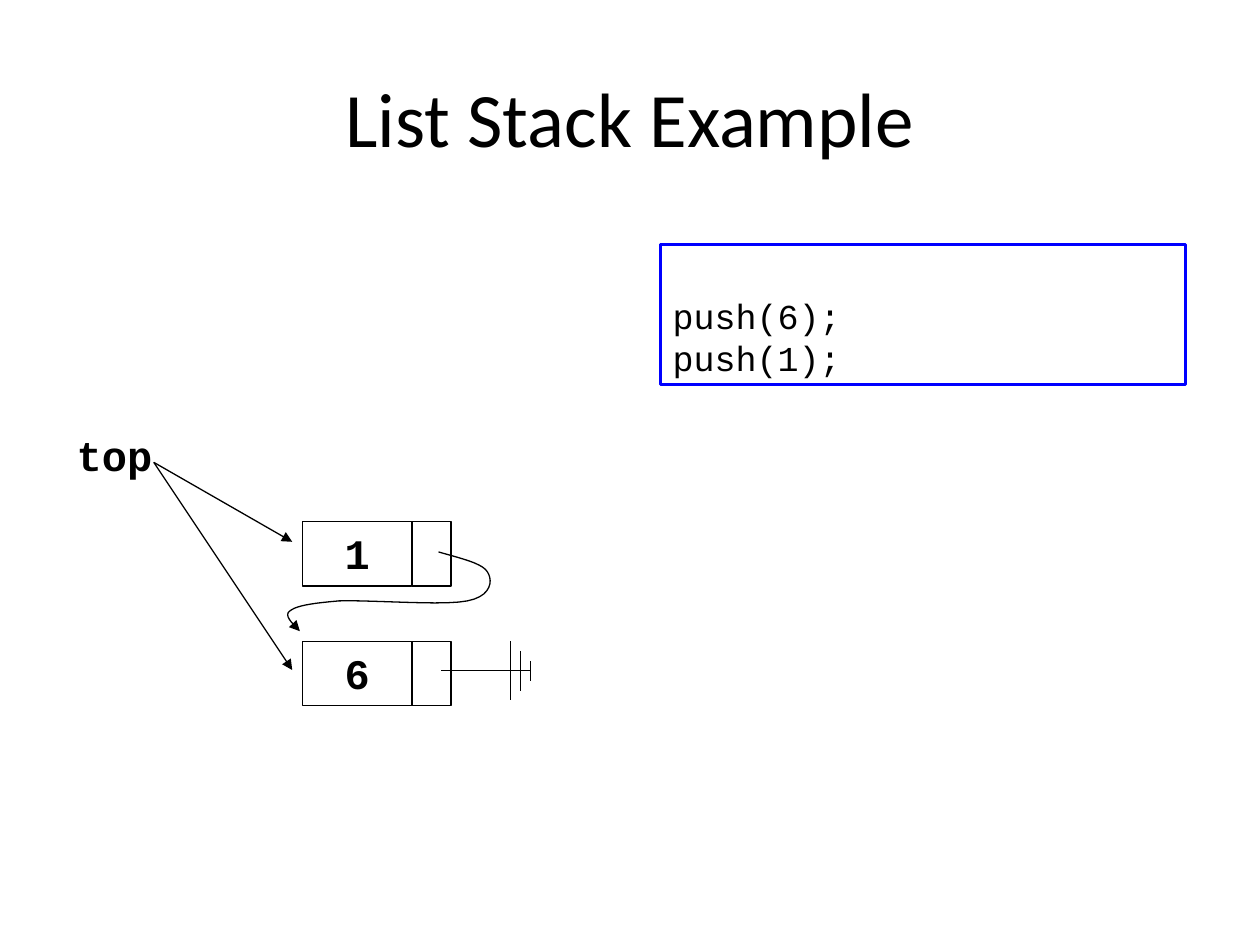
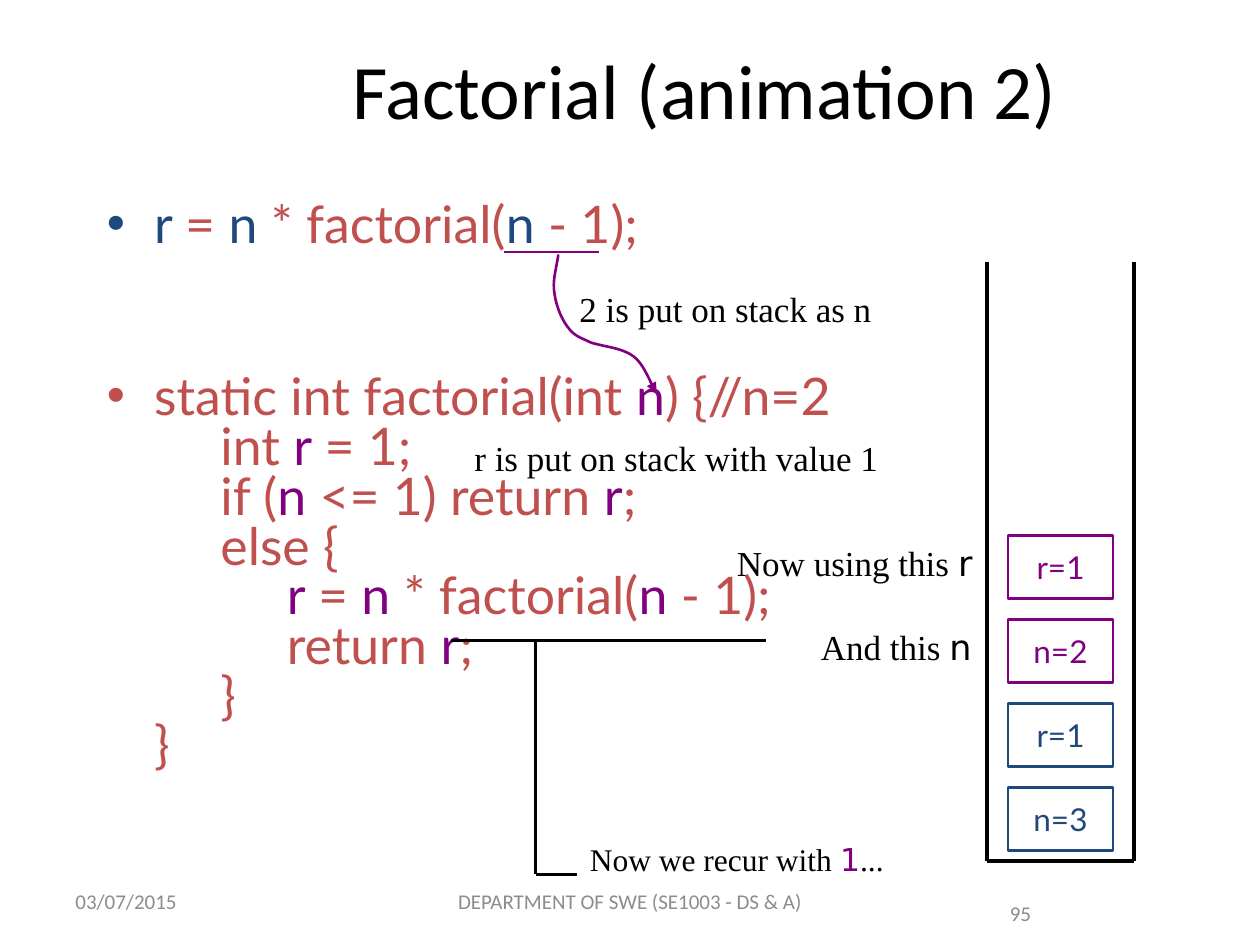
from dataclasses import dataclass
from itertools import pairwise

from lxml.etree import SubElement
from pptx import Presentation
from pptx.dml.color import RGBColor
from pptx.enum.shapes import MSO_CONNECTOR, MSO_SHAPE
from pptx.enum.text import MSO_ANCHOR, PP_ALIGN
from pptx.oxml.ns import qn
from pptx.util import Pt


@dataclass(frozen=True)
class Theme:
    black: str = "000000"
    white: str = "FFFFFF"
    grey: str = "8C8C8C"
    frame_blue: str = "0000FF"
    navy: str = "1F497D"
    red: str = "C0504D"
    purple: str = "800080"
    heading: str = "Calibri"
    mono: str = "Courier New"
    code: str = "Lato"
    serif: str = "Times New Roman"
    symbol: str = "DejaVu Sans"
    title_size: float = 44
    body_size: float = 29.6
    node_size: float = 24
    note_size: float = 20
    small_size: float = 18
    footer_size: float = 12
    leading: float = 1.2
    thin: float = 0.75
    medium: float = 1.5
    thick: float = 2.25


THEME = Theme()
MARK = "`"  # encloses the words that take the mark format


def rgb(colour):
    return RGBColor.from_string(colour)


# ---- Text ----
def write(shape, *paragraphs, font=THEME.heading, size=THEME.note_size,
          colour=THEME.black, bold=False, mark_font=None, mark_colours=None,
          align=PP_ALIGN.LEFT, anchor=MSO_ANCHOR.TOP, spacing=None,
          gap=0, hanging=0):
    """Write paragraphs; \\v breaks a line, MARK encloses marked words."""
    frame = shape.text_frame
    frame.word_wrap = True
    frame.vertical_anchor = anchor
    for index, content in enumerate(paragraphs):
        mark_colour = mark_colours[index] if mark_colours else colour
        para = frame.paragraphs[0] if index == 0 else frame.add_paragraph()
        if hanging:
            props = para._p.get_or_add_pPr()
            props.set("marL", str(Pt(hanging)))
            props.set("indent", str(-Pt(hanging)))
            SubElement(props, qn("a:buFont"), typeface="Arial")
            SubElement(props, qn("a:buChar"), char="•")
        para.alignment = align
        if spacing:
            para.line_spacing = spacing
        if index:
            para.space_before = Pt(gap)
        for part, words in enumerate(content.split(MARK)):
            marked = part % 2 == 1
            for row, line in enumerate(words.split("\v")):
                if row:
                    para.add_line_break()
                if not line:
                    continue
                run = para.add_run()
                run.text = line
                run.font.name = mark_font if marked and mark_font else font
                run.font.size = Pt(size)
                run.font.bold = bold
                run.font.color.rgb = rgb(mark_colour if marked else colour)
    return shape


def text(slide, box, *paragraphs, **style):
    area = slide.shapes.add_textbox(*map(Pt, box))
    return write(area, *paragraphs, **style)


def fixed(size):
    return Pt(size * THEME.leading)


def note(slide, box, words, size=THEME.note_size, mark_colour=THEME.black):
    text(slide, box, words, font=THEME.serif, size=size,
         mark_font=THEME.symbol, mark_colours=[mark_colour],
         spacing=fixed(size))


# ---- Shapes and lines ----
def panel(slide, box, kind=MSO_SHAPE.RECTANGLE, fill=None,
          line=THEME.black, width=THEME.thin):
    shape = slide.shapes.add_shape(kind, *map(Pt, box))
    shape.shadow.inherit = False
    if fill:
        shape.fill.solid()
        shape.fill.fore_color.rgb = rgb(fill)
    else:
        shape.fill.background()
    shape.line.color.rgb = rgb(line)
    shape.line.width = Pt(width)
    return shape


def add_arrowhead(shape):
    outline = shape.element.spPr.find(qn("a:ln"))
    SubElement(outline, qn("a:tailEnd"), type="triangle")


def line(slide, start, end, colour=THEME.black, width=THEME.thin, arrow=False):
    connector = slide.shapes.add_connector(
        MSO_CONNECTOR.STRAIGHT, *map(Pt, (*start, *end)))
    connector.line.color.rgb = rgb(colour)
    connector.line.width = Pt(width)
    if arrow:
        add_arrowhead(connector)
    SubElement(connector.element.spPr, qn("a:effectLst"))


def curved_arrow(slide, origin, knots, colour=THEME.black, width=THEME.thin):
    """Trace cubic curves: a start knot, then three knots per curve."""
    left, top = origin
    steps = 10
    points = [knots[0]]
    for first in range(0, len(knots) - 1, 3):
        curve = knots[first:first + 4]
        for step in range(1, steps + 1):
            t = step / steps
            weights = ((1 - t) ** 3, 3 * t * (1 - t) ** 2,
                       3 * t * t * (1 - t), t ** 3)
            points.append(tuple(sum(w * knot[axis] for w, knot in zip(weights, curve))
                                for axis in (0, 1)))
    points = [(Pt(left + x), Pt(top + y)) for x, y in points]
    builder = slide.shapes.build_freeform(*points[0], scale=1.0)
    builder.add_line_segments(points[1:], close=False)
    shape = builder.convert_to_shape()
    shape.shadow.inherit = False
    shape.fill.background()
    shape.line.color.rgb = rgb(colour)
    shape.line.width = Pt(width)
    add_arrowhead(shape)


# ---- Shared regions ----
def title(slide, box, words):
    text(slide, box, words, size=THEME.title_size,
         align=PP_ALIGN.CENTER, anchor=MSO_ANCHOR.MIDDLE)


def footer(slide, box, date, department, number):
    left, top, width, height = box
    parts = (
        ((left, top, 168, height), date, PP_ALIGN.LEFT),
        ((left + 210, top, 228, height), department, PP_ALIGN.CENTER),
        ((left + width - 150, top + 3.6, 150, 36), number, PP_ALIGN.LEFT),
    )
    for area, words, align in parts:
        text(slide, area, words, size=THEME.footer_size, colour=THEME.grey,
             align=align, anchor=MSO_ANCHOR.MIDDLE)


# ---- List stack slide ----
def list_node(slide, box, value):
    left, top, width, height = box
    link_width = 22.4
    data_width = width - link_width
    data = panel(slide, (left, top, data_width, height))
    write(data, value, font=THEME.mono, size=THEME.node_size, bold=True,
          align=PP_ALIGN.CENTER, spacing=fixed(THEME.node_size))
    panel(slide, (left + data_width, top, link_width, height))


def ground(slide, box):
    """Draw the null link: a lead and three shrinking bars."""
    left, top, width, height = box
    right, middle = left + width, top + height / 2
    line(slide, (left, middle), (right, middle))
    for index, half in enumerate((17, 11.3, 5.6)):
        x = right - 5.7 * (2 - index)
        line(slide, (x, middle - half), (x, middle + half))


def linked_list(slide, box):
    left, top, width, height = box
    text(slide, (left, top, 60, 36), "top", font=THEME.mono,
         size=THEME.node_size, bold=True, spacing=fixed(THEME.node_size))
    node_left, node_height, pitch = left + 136.1, 36.8, 68.3
    node_top = top + 56.2
    for index, value in enumerate(("1", "6")):
        y = node_top + index * pitch
        list_node(slide, (node_left, y, 85, node_height), value)
        line(slide, (left + 51.2, top + 22.3),
             (node_left - 5.8, y + 11.5 + index * 5), arrow=True)
    curved_arrow(slide, (node_left, node_top), (
        (77.8, 17.3), (90, 20.9), (103, 23.7), (105.8, 28.8),
        (108.7, 33.1), (108.7, 42.5), (94.3, 45.3),
        (80.6, 48.2), (38.2, 44.6), (20.9, 45.3),
        (3.6, 46.8), (-3.6, 48.2), (-7.2, 51.1),
        (-11.5, 54), (-2.9, 60.5), (-1.4, 62.6)))
    ground(slide, (left + width - 51, top + height - 34, 51, 34))


def call_panel(slide, box, *calls):
    frame = panel(slide, box, fill=THEME.white, line=THEME.frame_blue,
                  width=THEME.medium)
    write(frame, *calls, font=THEME.mono, anchor=MSO_ANCHOR.BOTTOM,
          spacing=fixed(THEME.note_size))


def list_stack_slide(slide):
    title(slide, (36, 21.6, 648, 90), "List Stack Example")
    linked_list(slide, (36.7, 241.9, 266.4, 158.4))
    call_panel(slide, (377.3, 139.7, 300.2, 79.9), "push(6);", "push(1);")


# ---- Factorial slide ----
CALL = "`r `= `n `* factorial(`n `- 1);"
FUNCTION = "\v".join((
    "static int factorial(int `n`) {//n=2",
    "     int `r `= 1;",
    "     if (`n `<= 1) return `r`;",
    "     else {",
    "          `r `= `n `* factorial(`n `- 1);",
    "          return `r`;",
    "     }",
    "}",
))


def call_stack(slide, box, cells):
    """Draw an open-topped stack with its cells listed from the bottom up."""
    left, top, width, height = box
    right, bottom = left + width, top + height
    corners = (left, top), (left, bottom), (right, bottom), (right, top)
    for start, end in pairwise(corners):
        line(slide, start, end, width=THEME.thick)
    cell_width, cell_height, pitch = 60, 36, 48
    for level, (words, colour) in enumerate(cells):
        cell = panel(slide, (left + 12, bottom - 42 - level * pitch,
                             cell_width, cell_height),
                     kind=MSO_SHAPE.FLOWCHART_PROCESS, line=colour,
                     width=THEME.medium)
        write(cell, words, font=THEME.code, size=THEME.small_size,
              colour=colour, align=PP_ALIGN.CENTER, anchor=MSO_ANCHOR.MIDDLE)


def argument_note(slide, box):
    """Underline the argument and lead it to the parameter."""
    left, top, width, _ = box
    line(slide, (left, top), (left + 54, top), colour=THEME.purple)
    note(slide, (left + 36, top + 16.6, width - 36, 31),
         "2 is put on stack as n")
    curved_arrow(slide, (left, top), (
        (31, 1.4), (31, 5), (27.4, 16.6), (28.8, 23),
        (29.5, 30.2), (33.1, 38.9), (36.7, 43.2),
        (40.3, 48.2), (43.9, 49), (49.7, 51.8),
        (56.2, 54), (67.7, 54.7), (74.2, 59.8),
        (80.6, 64.8), (84.2, 76.3), (87.1, 80.6)),
        colour=THEME.purple, width=THEME.medium)


def recursion_note(slide, box):
    left, top, width, height = box
    bottom, stem = top + height, left + 48
    for start, end in (((left, top), (left + 180, top)),
                       ((stem, top), (stem, bottom)),
                       ((stem, bottom), (stem + 24, bottom))):
        line(slide, start, end, width=THEME.medium)
    note(slide, (left + 72, bottom - 23, width - 72, 36),
         "Now we recur with `1`...", size=THEME.small_size,
         mark_colour=THEME.purple)


def factorial_slide(slide):
    title(slide, (96, 18, 613.4, 66), "Factorial (animation 2)")
    text(slide, (54, 113, 473.8, 353.5), CALL, FUNCTION, font=THEME.code,
         size=THEME.body_size, colour=THEME.red,
         mark_colours=[THEME.navy, THEME.purple], spacing=0.8,
         gap=70, hanging=27)
    call_stack(slide, (564, 150, 84, 342), (
        ("n=3", THEME.navy), ("r=1", THEME.navy),
        ("n=2", THEME.purple), ("r=1", THEME.purple)))
    note(slide, (264, 246, 246, 31), "r is put on stack with value 1")
    note(slide, (414, 306, 240, 31.7), "Now using this `r`")
    note(slide, (462, 354, 108, 31.7), "And this `n`")
    argument_note(slide, (288, 144, 228, 81))
    recursion_note(slide, (258, 366, 310, 133.7))
    footer(slide, (36, 500.4, 684, 28.8), "03/07/2015",
           "DEPARTMENT OF SWE (SE1003 - DS & A)", "95")


def main():
    deck = Presentation()
    deck.slide_width, deck.slide_height = Pt(720), Pt(540)
    blank = deck.slide_layouts[6]
    for build in (list_stack_slide, factorial_slide):
        build(deck.slides.add_slide(blank))
    deck.save("out.pptx")


if __name__ == "__main__":
    main()
